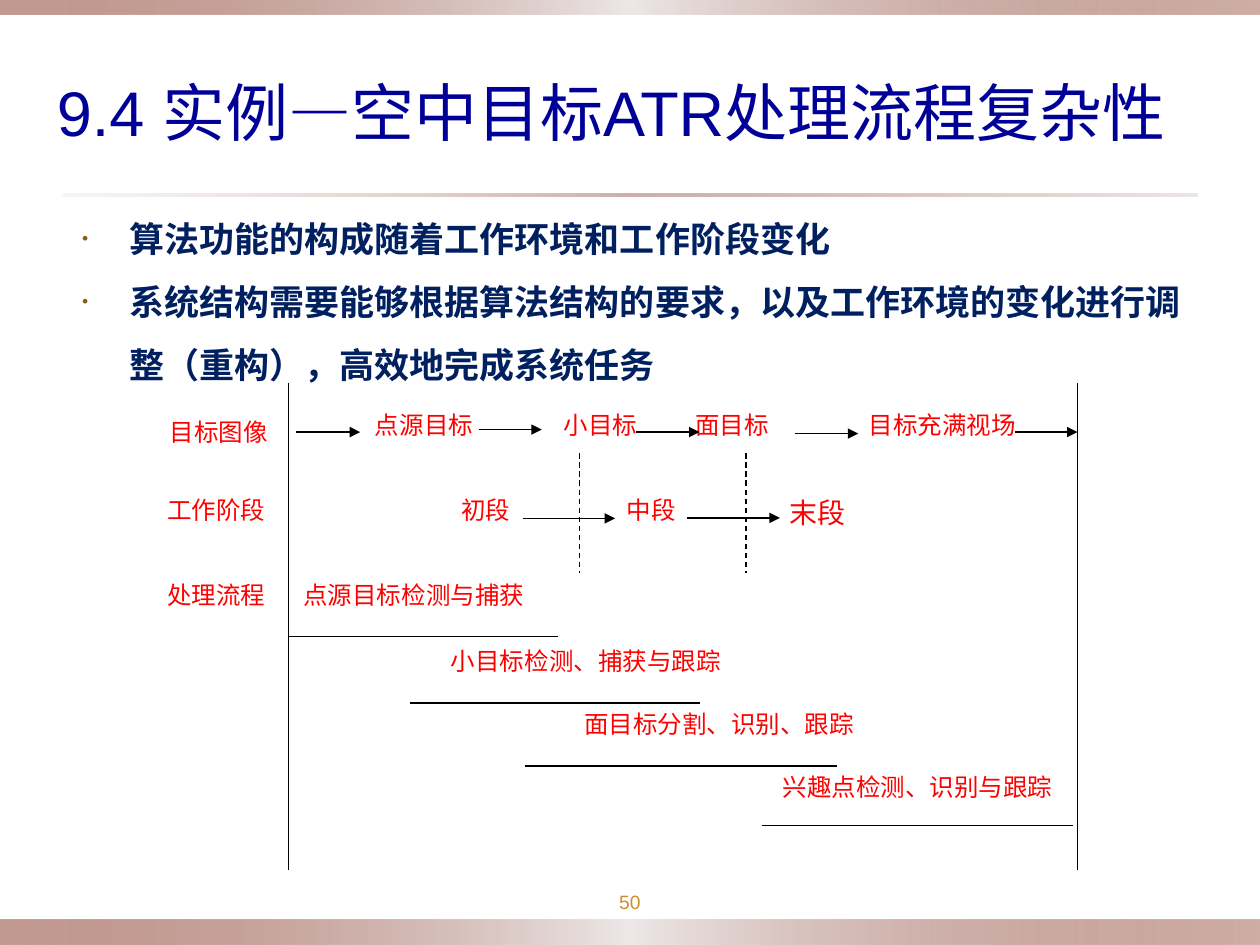
from lxml import etree
from pptx import Presentation
from pptx.dml.color import RGBColor
from pptx.enum import dml, shapes, text
from pptx.oxml import ns
from pptx.util import Cm, Pt

# All positions and sizes are in centimetres.
TITLE = "9.4 实例—空中目标ATR处理流程复杂性"
POINTS = [
    "算法功能的构成随着工作环境和工作阶段变化",
    "系统结构需要能够根据算法结构的要求，以及工作环境的变化进行调整（重构），高效地完成系统任务",
]
EDGE = [(0, "873624", 50), (50, "EDE8E8", 100), (100, "873624", 40)]
RULE = [(0, "D9CECD", 20), (50, "873624", 40), (100, "D9CECD", 50)]
BANDS = [
    ((0, 18.54, 25.4, 0.51), EDGE),
    ((0, 0, 25.4, 0.3), EDGE),
    ((1.27, 3.91, 22.86, 0.05), RULE),
]
CENTER, JUSTIFY = text.PP_ALIGN.CENTER, text.PP_ALIGN.JUSTIFY
# text, left, top, width, size, alignment
LABELS = [
    ("目标图像", 2.95, 8.28, 2.92, 14, CENTER),
    ("工作阶段", 2.9, 9.86, 2.92, 14, CENTER),
    ("处理流程", 2.9, 11.56, 2.92, 14, CENTER),
    ("点源目标", 7.09, 8.15, 2.92, 14, CENTER),
    ("小目标", 10.85, 8.15, 2.51, 14, CENTER),
    ("面目标", 13.77, 8.15, 2.92, 14, JUSTIFY),
    ("目标充满视场", 17.12, 8.15, 3.76, 14, CENTER),
    ("初段", 8.33, 9.86, 2.92, 14, CENTER),
    ("中段", 12.09, 9.86, 2.08, 14, CENTER),
    ("末段", 15.44, 9.86, 2.08, 16, CENTER),
    ("点源目标检测与捕获", 5.41, 11.56, 5.87, 14, CENTER),
    ("小目标检测、捕获与跟踪", 8.26, 12.9, 7.11, 14, CENTER),
    ("面目标分割、识别、跟踪", 11.02, 14.17, 6.96, 14, CENTER),
    ("兴趣点检测、识别与跟踪", 15.11, 15.44, 6.78, 14, CENTER),
]
# start, end, height
ARROWS = [
    (5.97, 7.26, 8.71), (9.65, 10.92, 8.66), (12.83, 14.1, 8.71),
    (16.03, 17.3, 8.74), (20.47, 21.72, 8.71),
    (10.54, 12.4, 10.45), (13.84, 15.72, 10.44),
]
SPANS = [
    (5.82, 11.25, 12.83), (8.26, 14.12, 14.17),
    (10.59, 16.87, 15.44), (15.37, 21.64, 16.64),
]
BORDERS, BORDER_ENDS = (5.82, 21.72), (7.72, 17.53)
SPLITS, SPLIT_ENDS = (11.68, 15.04), (9.14, 11.56)


def color(code):
    return RGBColor.from_string(code)


def add(parent, tag, **attrs):
    return etree.SubElement(parent, ns.qn(tag), attrs)


def place(shape, box):
    shape.left, shape.top, shape.width, shape.height = map(Cm, box)


def style(para, size, face, code, bold=False):
    font = para.font
    font.size, font.name, font.bold = Pt(size), face, bold
    font.color.rgb = color(code)


def band(slide, box, stops):
    """Draw a bar with a left-to-right gradient of (place, colour, opacity)."""
    bar = slide.shapes.add_shape(shapes.MSO_SHAPE.RECTANGLE, *map(Cm, box))
    bar.shadow.inherit = False
    bar.line.fill.background()
    bar.fill.gradient()
    bar.fill.gradient_angle = 0
    group = bar.fill.gradient_stops[0]._gs.getparent()
    for stop in list(group):
        group.remove(stop)
    for pos, code, alpha in stops:
        stop = add(group, "a:gs", pos=str(pos * 1000))
        tint = add(stop, "a:srgbClr", val=code)
        add(tint, "a:alpha", val=str(alpha * 1000))


def label(slide, words, box, size, face, code, align=CENTER):
    frame = slide.shapes.add_textbox(*map(Cm, box)).text_frame
    frame.word_wrap = True
    para = frame.paragraphs[0]
    para.text, para.alignment = words, align
    style(para, size, face, code)
    return frame


def line(slide, x1, y1, x2, y2, arrow=False, dash=False):
    link = slide.shapes.add_connector(
        shapes.MSO_CONNECTOR.STRAIGHT, *map(Cm, (x1, y1, x2, y2)))
    link.line.width = Pt(0.75)
    link.line.color.rgb = color("000000")
    if dash:
        link.line.dash_style = dml.MSO_LINE.DASH
    if arrow:
        add(link.line._get_or_add_ln(), "a:tailEnd", type="triangle")
    add(link._element.spPr, "a:effectLst")


def fill_title(shape):
    place(shape, (0.51, 0.76, 23.62, 3.18))
    frame = shape.text_frame
    frame.auto_size = text.MSO_AUTO_SIZE.NONE
    frame.vertical_anchor = text.MSO_ANCHOR.MIDDLE
    para = frame.paragraphs[0]
    para.text, para.alignment, para.line_spacing = TITLE, CENTER, 0.9
    style(para, 36, "Arial", "000099")


def fill_body(shape):
    place(shape, (1.4, 3.84, 22.86, 13))
    frame = shape.text_frame
    frame.auto_size = text.MSO_AUTO_SIZE.NONE
    frame.vertical_anchor = text.MSO_ANCHOR.TOP
    for i, point in enumerate(POINTS):
        para = frame.add_paragraph() if i else frame.paragraphs[0]
        para.text = point
        props = para._p.get_or_add_pPr()
        props.set("marL", str(Cm(0.95)))
        props.set("indent", str(-Cm(0.95)))
        add(add(props, "a:buClr"), "a:srgbClr", val="895D1D")
        add(props, "a:buSzPct", val="50000")
        add(props, "a:buFont", typeface="Arial")
        add(props, "a:buChar", char="•")
        para.line_spacing, para.space_before = 1.5, Pt(0)
        style(para, 20, "Arial", "002060", True)


def main():
    deck = Presentation()
    deck.slide_width, deck.slide_height = Cm(25.4), Cm(19.05)
    slide = deck.slides.add_slide(deck.slide_layouts[1])
    for box, stops in BANDS:
        band(slide, box, stops)
    fill_title(slide.shapes.title)
    fill_body(slide.placeholders[1])

    for words, left, top, width, size, align in LABELS:
        label(slide, words, (left, top, width, 1.27), size,
              "Times New Roman", "FF0000", align)
    for start, end, y in ARROWS:
        line(slide, start, y, end, y, arrow=True)
    for start, end, y in SPANS:
        line(slide, start, y, end, y)
    for xs, (top, foot), dash in ((BORDERS, BORDER_ENDS, False),
                                  (SPLITS, SPLIT_ENDS, True)):
        for x in xs:
            line(slide, x, top, x, foot, dash=dash)

    page = label(slide, "50", (11.43, 17.78, 2.54, 0.79), 11, "Arial", "D08D2C")
    page.vertical_anchor = text.MSO_ANCHOR.MIDDLE
    page.margin_left = page.margin_right = Cm(0.13)
    page.margin_top = page.margin_bottom = Cm(0.13)
    deck.save("out.pptx")


if __name__ == "__main__":
    main()
